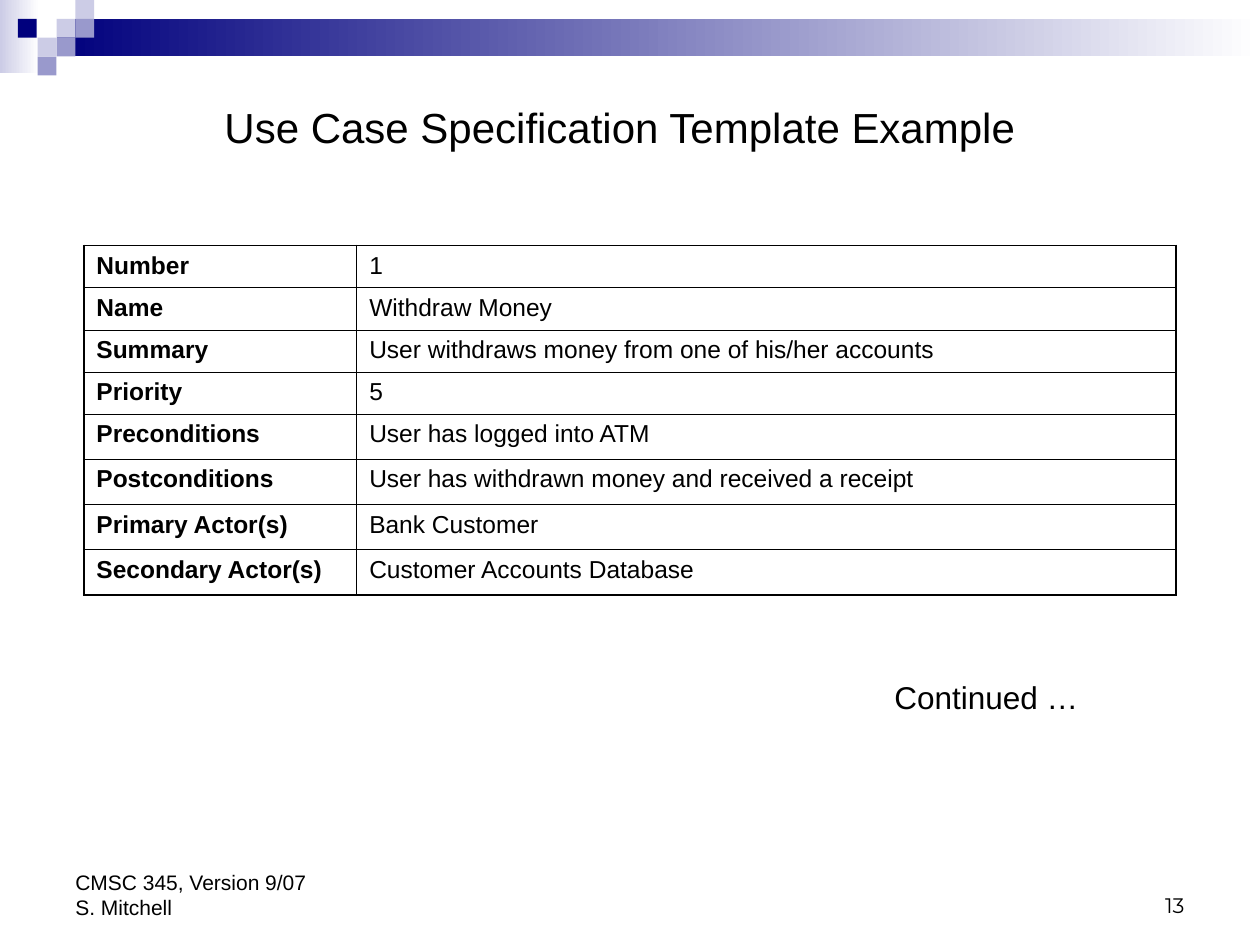
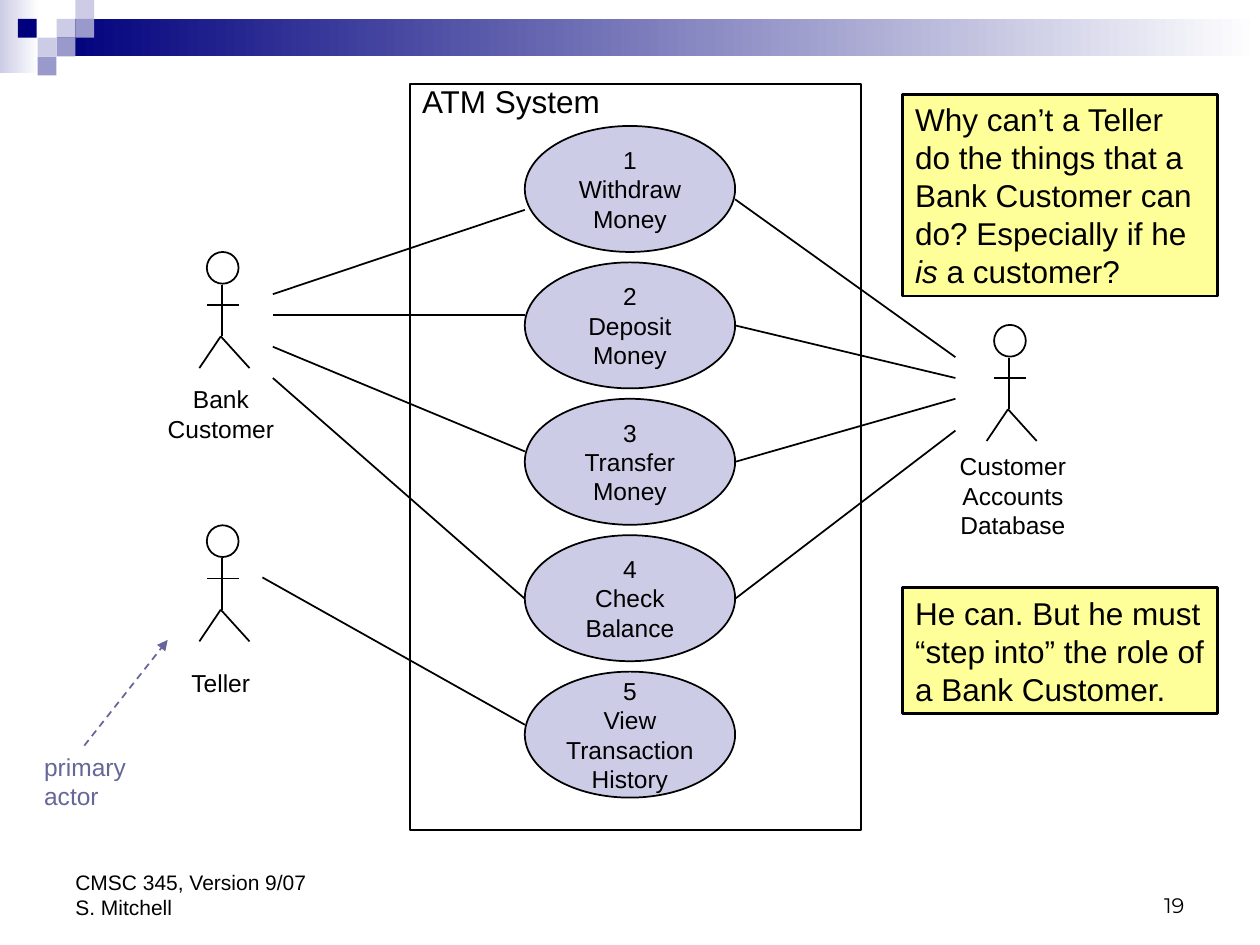
from lxml.etree import SubElement
from pptx import Presentation
from pptx.dml.color import RGBColor
from pptx.enum.dml import MSO_LINE
from pptx.enum.shapes import MSO_CONNECTOR, MSO_SHAPE
from pptx.enum.text import MSO_ANCHOR, MSO_AUTO_SIZE, PP_ALIGN
from pptx.oxml import parse_xml
from pptx.oxml.ns import nsdecls, qn
from pptx.util import Cm, Pt

BLACK, WHITE, NAVY = "000000", "FFFFFF", "00007D"
LILAC, VIOLET, SLATE, YELLOW = "CCCCE6", "9999CC", "666699", "FFFF99"
LEFT, CENTER, RIGHT = PP_ALIGN.LEFT, PP_ALIGN.CENTER, PP_ALIGN.RIGHT

BANDS = [((0, 0, 0.79, 1.47), LILAC), ((1.14, 0.38, 24.26, 0.76), NAVY)]
TILE = 0.38
TILES = [(1.14, 0.38, LILAC), (1.52, 0, LILAC), (1.52, 0.38, VIOLET),
         (0.76, 0.76, LILAC), (0.36, 0.38, NAVY), (1.14, 0.76, VIOLET),
         (0.76, 1.14, VIOLET)]
FOOTER = ["CMSC 345, Version 9/07", "S. Mitchell"]

TITLE = "Use Case Specification Template Example"
SPEC_ROWS = [
    ("Number", "1"),
    ("Name", "Withdraw Money"),
    ("Summary", "User withdraws money from one of his/her accounts"),
    ("Priority", "5"),
    ("Preconditions", "User has logged into ATM"),
    ("Postconditions", "User has withdrawn money and received a receipt"),
    ("Primary Actor(s)", "Bank Customer"),
    ("Secondary Actor(s)", "Customer Accounts Database"),
]
COL_WIDTHS = [5.5, 16.51]
ROW_HEIGHTS = [0.85] * 4 + [0.91] * 4

USE_CASES = ["Withdraw Money", "Deposit Money", "Transfer Money",
             "Check Balance", "View Transaction History"]
ACTORS = [
    ("Bank Customer", (4.17, 5.08), (2.97, 7.62, 2.97, 1.45), CENTER),
    ("Customer Accounts Database", (20.04, 6.55), (19.05, 8.97, 2.74, 2.03), CENTER),
    ("Teller", (4.17, 10.59), (3.61, 13.34, 1.9, 0.86), LEFT),
]
LIMBS = [(0.3, 0.66, 0.3, 1.7), (0.28, 1.7, 0.86, 2.34),
         (0.28, 1.7, -0.15, 2.34), (0, 1.07, 0.64, 1.07)]
LINKS = [
    (5.5, 10.58, [(5.93, 4.23), (6.35, 6.35), (6.99, 9.1), (7.62, 12.07)]),
    (14.82, 19.26, [(4.02, 7.2), (6.56, 7.62), (9.31, 8.04), (12.07, 8.68)]),
    (5.29, 10.58, [(11.64, 14.61)]),
]
NOTES = [
    ((18.2, 1.9, 6.35, 4.07),
     [("Why can’t a Teller do the things that a Bank Customer can do? "
       "Especially if he ", False), ("is", True), (" a customer?", False)]),
    ((18.2, 11.85, 6.35, 2.54),
     [("He can. But he must “step into” the role of a Bank Customer.", False)]),
]


def rgb(color):
    return RGBColor.from_string(color)


def put(obj, values):
    for name, value in values.items():
        setattr(obj, name, value)


def write(tf, paras, size, align=LEFT, anchor=MSO_ANCHOR.TOP, wrap=True,
          color=BLACK, font="Arial", bold=False):
    put(tf, {"word_wrap": wrap, "auto_size": MSO_AUTO_SIZE.NONE,
             "vertical_anchor": anchor})
    for i, para in enumerate(paras):
        p = tf.paragraphs[0] if i == 0 else tf.add_paragraph()
        p.alignment = align
        for text, italic in [(para, False)] if isinstance(para, str) else para:
            r = p.add_run()
            r.text = text
            put(r.font, {"name": font, "size": Pt(size), "bold": bold,
                         "italic": italic})
            r.font.color.rgb = rgb(color)


def add_text(s, box, paras, size, **style):
    sp = s.shapes.add_textbox(*map(Cm, box))
    write(sp.text_frame, paras, size, **style)


def add_box(s, kind, box, fill=None, line=None, width=1):
    sp = s.shapes.add_shape(kind, *map(Cm, box))
    sp.shadow.inherit = False
    if fill:
        sp.fill.solid()
        sp.fill.fore_color.rgb = rgb(fill)
    else:
        sp.fill.background()
    if line:
        sp.line.color.rgb = rgb(line)
        sp.line.width = Pt(width)
    else:
        sp.line.fill.background()
    return sp


def add_line(s, ends, color=BLACK):
    cx = s.shapes.add_connector(MSO_CONNECTOR.STRAIGHT, *map(Cm, ends))
    cx.line.color.rgb = rgb(color)
    cx.line.width = Pt(1)
    SubElement(cx.element.spPr, qn("a:effectLst"))
    return cx


def decorate_master(prs, s):
    parts = []
    for box, color in BANDS:
        sp = add_box(s, MSO_SHAPE.RECTANGLE, box, color)
        sp.fill.gradient()
        sp.fill.gradient_angle = 0
        for stop, shade in zip(sp.fill.gradient_stops, (color, WHITE)):
            stop.color.rgb = rgb(shade)
        parts.append(sp)
    for x, y, color in TILES:
        parts.append(add_box(s, MSO_SHAPE.RECTANGLE, (x, y, TILE, TILE), color))
    tree = prs.slide_master.shapes.element
    for i, sp in enumerate(parts):
        sp.element.nvSpPr.cNvPr.set("id", str(20 + i))
        tree.insert(2 + i, sp.element)


def add_footer(s, number):
    add_text(s, (18.2, 17.35, 5.93, 1.27), [number], 12, align=RIGHT,
             anchor=MSO_ANCHOR.BOTTOM, font="Montserrat")
    add_text(s, (1.27, 17.35, 5.93, 1.32), FOOTER, 12, anchor=MSO_ANCHOR.BOTTOM)


def set_borders(cell, outer_sides):
    tc_pr = cell._tc.get_or_add_tcPr()
    for i, side in enumerate("LRTB"):
        width = Pt(1.08 if side in outer_sides else 0.45)
        tc_pr.insert(i, parse_xml(
            f'<a:ln{side} {nsdecls("a")} w="{width}"><a:solidFill>'
            f'<a:srgbClr val="{BLACK}"/></a:solidFill></a:ln{side}>'))


def add_spec_table(s):
    box = (1.69, 4.95, sum(COL_WIDTHS), sum(ROW_HEIGHTS))
    tbl = s.shapes.add_table(len(SPEC_ROWS), 2, *map(Cm, box)).table
    put(tbl, {"first_row": False, "horz_banding": False})
    for col, width in zip(tbl.columns, COL_WIDTHS):
        col.width = Cm(width)
    for i, (row, height) in enumerate(zip(tbl.rows, ROW_HEIGHTS)):
        row.height = Cm(height)
        edge = {0: "T", len(SPEC_ROWS) - 1: "B"}.get(i, "")
        for j, cell in enumerate(row.cells):
            cell.fill.background()
            set_borders(cell, "LR"[j] + edge)
            write(cell.text_frame, [SPEC_ROWS[i][j]], 14, bold=j == 0)


def build_spec_slide(s):
    title = s.shapes.title
    put(title, {"left": Cm(4.27), "top": Cm(1.91), "width": Cm(16.56),
                "height": Cm(1.27)})
    write(title.text_frame, [TITLE], 24, wrap=False)
    add_spec_table(s)
    add_text(s, (17.78, 13.54, 4.45, 1.02), ["Continued …"], 18)
    add_footer(s, "13")


def add_actor(s, name, head, label_box, align):
    x, y = head
    add_box(s, MSO_SHAPE.OVAL, (x, y, 0.64, 0.64), line=BLACK)
    for x1, y1, x2, y2 in LIMBS:
        add_line(s, (x + x1, y + y1, x + x2, y + y2))
    add_text(s, label_box, [name], 14, align=align)


def build_diagram_slide(s):
    add_box(s, MSO_SHAPE.RECTANGLE, (8.26, 1.7, 9.1, 15.03), line=BLACK)
    add_text(s, (8.26, 1.52, 4.24, 1.02), ["ATM System"], 18)
    for i, case in enumerate(USE_CASES):
        sp = add_box(s, MSO_SHAPE.OVAL, (10.58, 2.54 + 2.75 * i, 4.24, 2.54),
                     LILAC, BLACK)
        write(sp.text_frame, [str(i + 1)] + case.split(), 14, align=CENTER,
              anchor=MSO_ANCHOR.MIDDLE, wrap=False)
    for actor in ACTORS:
        add_actor(s, *actor)
    for x1, x2, heights in LINKS:
        for y1, y2 in heights:
            add_line(s, (x1, y1, x2, y2))
    add_text(s, (0.64, 15.03, 3.38, 1.45), ["primary actor"], 14, color=SLATE)
    arrow = add_line(s, (1.7, 15.03, 3.38, 12.9), SLATE)
    arrow.line.dash_style = MSO_LINE.DASH
    SubElement(arrow.line._get_or_add_ln(), qn("a:tailEnd"), type="triangle")
    for box, runs in NOTES:
        sp = add_box(s, MSO_SHAPE.RECTANGLE, box, YELLOW, BLACK, 1.5)
        write(sp.text_frame, [runs], 18)
    add_footer(s, "19")


def main():
    prs = Presentation()
    put(prs, {"slide_width": Cm(25.4), "slide_height": Cm(19.05)})
    spec = prs.slides.add_slide(prs.slide_layouts[5])
    decorate_master(prs, spec)
    build_spec_slide(spec)
    build_diagram_slide(prs.slides.add_slide(prs.slide_layouts[6]))
    prs.save("out.pptx")


if __name__ == "__main__":
    main()
